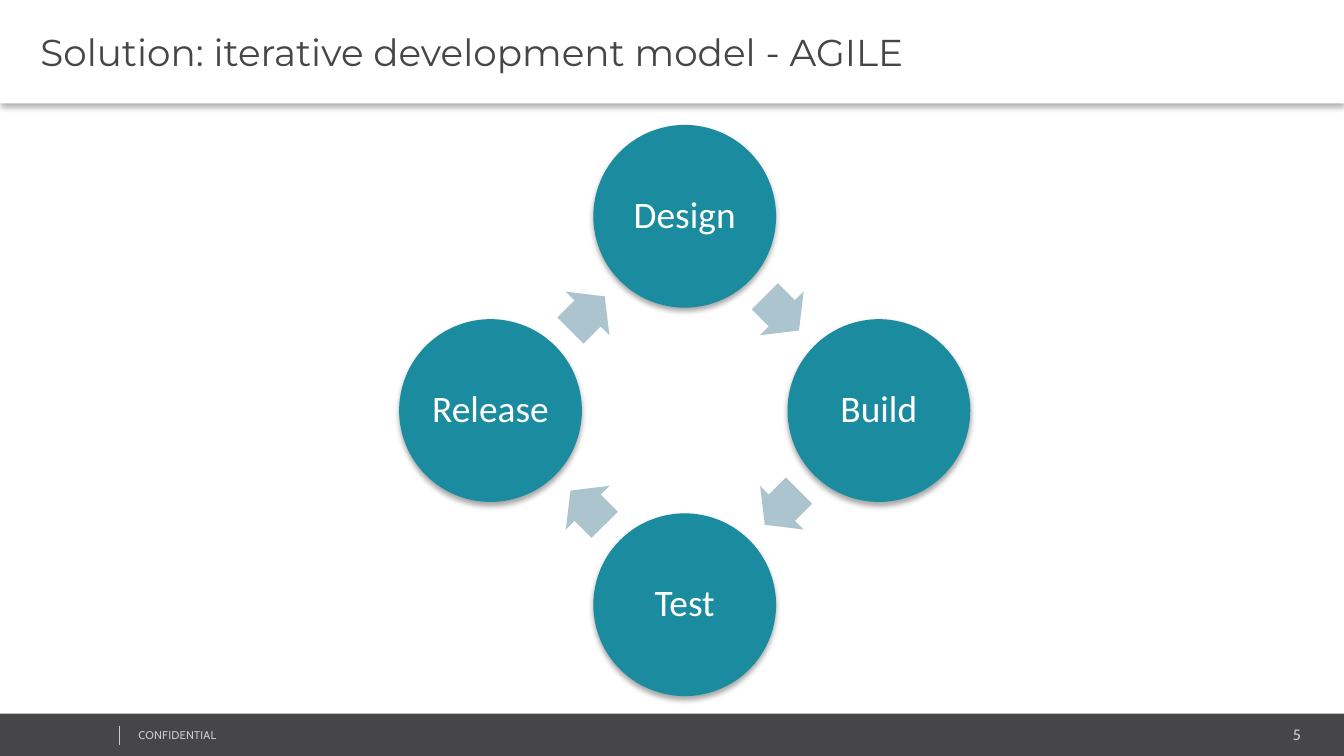
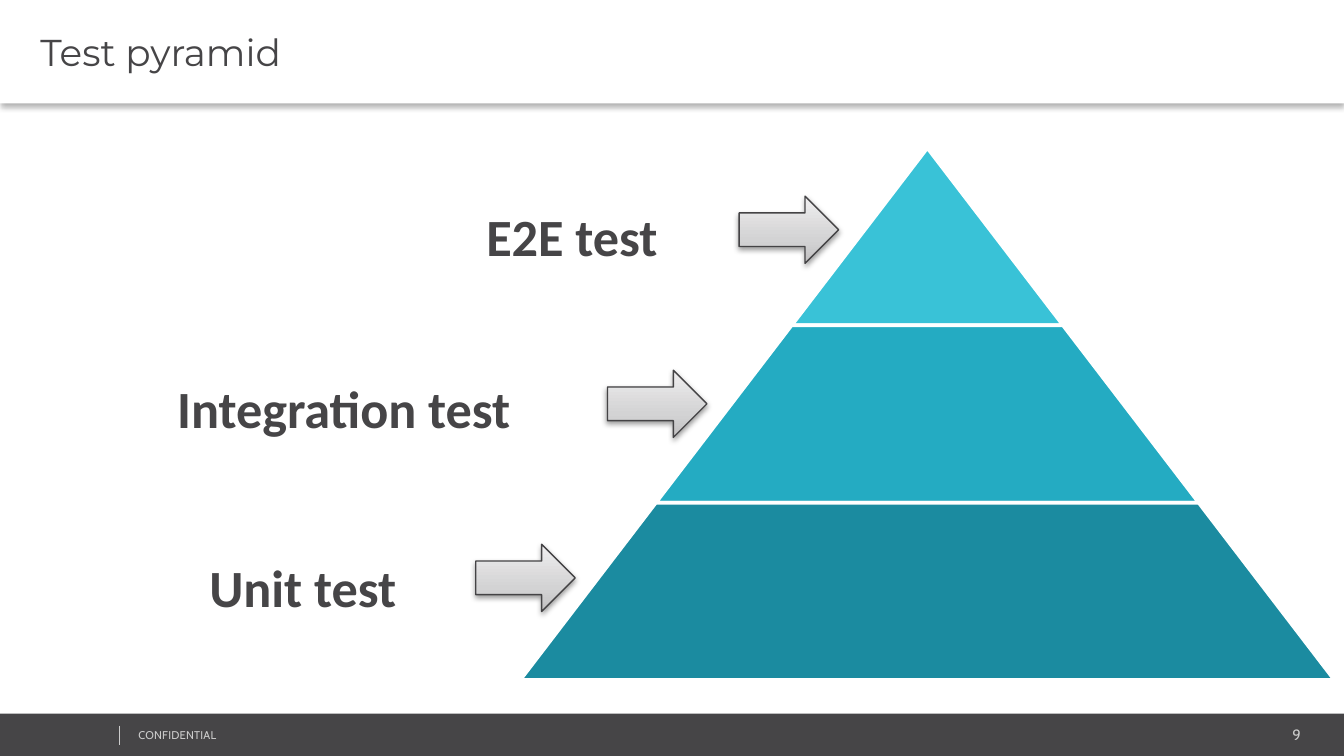
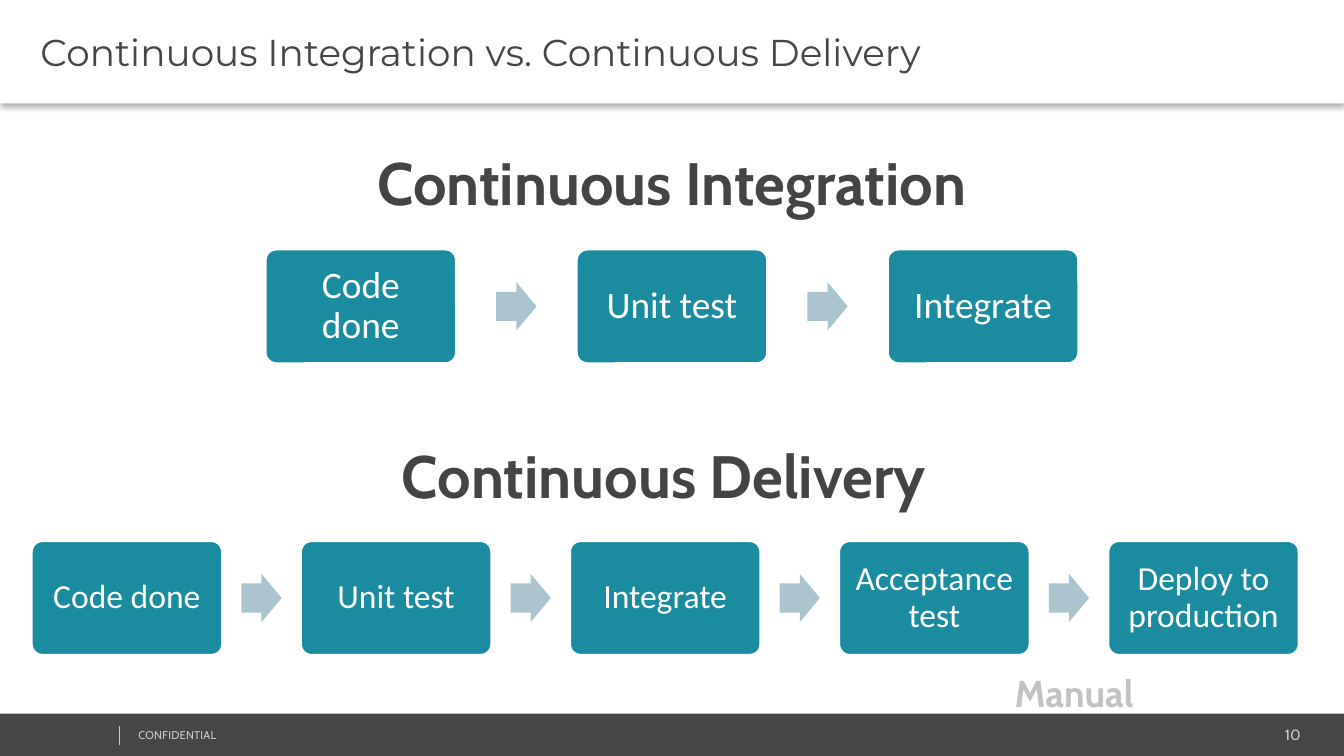
from dataclasses import dataclass, field
from math import cos, pi, sin

from lxml.etree import SubElement
from pptx import Presentation
from pptx.dml.color import RGBColor
from pptx.enum.shapes import MSO_CONNECTOR, MSO_SHAPE
from pptx.enum.text import MSO_ANCHOR, MSO_AUTO_SIZE, PP_ALIGN
from pptx.oxml.ns import qn
from pptx.util import Inches, Pt

SLIDE_WIDTH, SLIDE_HEIGHT = Inches(10), Inches(5.625)
COLUMNS, ROWS = 100, 56.25


@dataclass(frozen=True)
class TextStyle:
    """The font, colour and line spacing of one kind of text."""
    name: str
    size: float
    color: str
    bold: bool = False
    line_spacing: float = 1.0
    alignment: PP_ALIGN = PP_ALIGN.LEFT
    tracking: float = 0


@dataclass(frozen=True)
class Theme:
    """Colours and type sizes shared by the slides."""
    white: str = "FFFFFF"
    dark: str = "464547"
    outline: str = "444345"
    pale: str = "CCCCCC"
    teal: str = "1B8BA0"
    flow_arrow: str = "ACC4CD"
    pyramid: tuple = ("39C2D7", "24ABC2", "1B8BA0")
    gradient: tuple = ((0, "C1C0C1"), (35, "D3D3D4"), (100, "EFEEEF"))
    title: TextStyle = TextStyle("Montserrat", 20, "464547")
    number: TextStyle = TextStyle("Cabin", 8, "CCCCCC", alignment=PP_ALIGN.RIGHT)
    notice: TextStyle = TextStyle("Cabin", 6, "CCCCCC", tracking=0.1)
    step: TextStyle = TextStyle("Calibri", 20, "FFFFFF", False, 0.9, PP_ALIGN.CENTER)
    small_step: TextStyle = TextStyle("Calibri", 18, "FFFFFF", False, 0.9, PP_ALIGN.CENTER)
    label: TextStyle = TextStyle("Calibri", 28, "464547", True, 1.2)
    heading: TextStyle = TextStyle("Cabin", 32, "444444", True, 1.2, PP_ALIGN.CENTER)
    remark: TextStyle = TextStyle("Cabin", 20, "C2C2C2", True, 1.2)
    insets: dict = field(default_factory=lambda: {
        "title": (0.3, 0.04, 0.07, 0.04), "footer": (0.07, 0.04, 0.07, 0.04),
        "text": (0.1, 0.05, 0.1, 0.05)})


THEME = Theme()


@dataclass(frozen=True)
class Box:
    """A rectangle measured in grid columns and rows."""
    left: float
    top: float
    width: float
    height: float

    def at(self, left, top, width, height):
        """Return a box offset from this one's corner."""
        return Box(self.left + left, self.top + top, width, height)

    def centred(self, x, y, width, height):
        """Return a box centred on a point given in shares of this one."""
        return self.at(x * self.width - width / 2, y * self.height - height / 2, width, height)

    def lengths(self):
        """Return left, top, width and height as slide lengths."""
        column, row = SLIDE_WIDTH / COLUMNS, SLIDE_HEIGHT / ROWS
        return (round(self.left * column), round(self.top * row),
                round(self.width * column), round(self.height * row))


def apply(target, values):
    """Set each named attribute on the target."""
    for name, value in values.items():
        setattr(target, name, value)


def paint(shape, fill=None, line=None, line_width=0.75, shadow=None):
    """Set a shape's fill, outline and shadow (opacity, blur, distance)."""
    if fill:
        shape.fill.solid()
        shape.fill.fore_color.rgb = RGBColor.from_string(fill)
    if line:
        shape.line.color.rgb = RGBColor.from_string(line)
        shape.line.width = Pt(line_width)
    else:
        shape.line.fill.background()
    shape.shadow.inherit = False
    if shadow:
        opacity, blur, distance = shadow
        effects = shape._element.spPr.find(qn("a:effectLst"))
        outer = SubElement(effects, qn("a:outerShdw"), blurRad=str(Pt(blur)),
                           dist=str(Pt(distance)), dir="5400000", rotWithShape="0")
        color = SubElement(outer, qn("a:srgbClr"), val="000000")
        SubElement(color, qn("a:alpha"), val=str(opacity * 1000))


def paint_gradient(shape, stops):
    """Fill a shape with a gradient that rises from bottom to top."""
    shape.fill.gradient()
    shape.fill.gradient_angle = 90
    stop_list = shape._element.spPr.find(".//" + qn("a:gsLst"))
    stop_list.clear()
    for position, color in stops:
        stop = SubElement(stop_list, qn("a:gs"), pos=str(position * 1000))
        SubElement(stop, qn("a:srgbClr"), val=color)


def write(shape, text, style, insets, **frame_values):
    """Put styled text into a shape."""
    frame = shape.text_frame
    sides = ("left", "top", "right", "bottom")
    apply(frame, {f"margin_{side}": Inches(inset) for side, inset in zip(sides, insets)})
    apply(frame, {"word_wrap": True, "auto_size": MSO_AUTO_SIZE.NONE,
                  "vertical_anchor": MSO_ANCHOR.MIDDLE, **frame_values})
    paragraph = frame.paragraphs[0]
    apply(paragraph, {"alignment": style.alignment, "line_spacing": style.line_spacing})
    run = paragraph.add_run()
    run.text = text
    apply(run.font, {"name": style.name, "size": Pt(style.size), "bold": style.bold})
    run.font.color.rgb = RGBColor.from_string(style.color)
    if style.tracking:
        run.font._element.set("spc", str(round(style.tracking * 100)))


def add_preset(shapes, kind, box, adjustments=(), rotation=0, **paint_values):
    """Add a painted preset shape."""
    shape = shapes.add_shape(kind, *box.lengths())
    for index, value in enumerate(adjustments):
        shape.adjustments[index] = value
    shape.rotation = rotation
    paint(shape, **paint_values)
    return shape


def add_text(slide, box, text, style, insets="text", word_wrap=True):
    """Add a text box that grows with its text."""
    shape = slide.shapes.add_textbox(*box.lengths())
    write(shape, text, style, THEME.insets[insets], word_wrap=word_wrap,
          auto_size=MSO_AUTO_SIZE.SHAPE_TO_FIT_TEXT, vertical_anchor=MSO_ANCHOR.TOP)


def add_flow_arrow(shapes, box, rotation=0):
    """Add a pale arrow leading to the next step."""
    add_preset(shapes, MSO_SHAPE.RIGHT_ARROW, box, (0.6, 0.5), rotation,
               fill=THEME.flow_arrow)


def add_title(slide, box, text):
    """Place the title band with its soft lower shadow."""
    title = slide.shapes.title
    apply(title, dict(zip(("left", "top", "width", "height"), box.lengths())))
    paint(title, fill=THEME.white, shadow=(30, 3.1, 2))
    write(title, text, THEME.title, THEME.insets["title"])


def add_footer(slide, box, number):
    """Draw the footer band, rule, notice and slide number."""
    add_preset(slide.shapes, MSO_SHAPE.RECTANGLE, box, fill=THEME.dark)
    add_text(slide, box.at(81.2, 0.5, 16.3, 2.1), str(number), THEME.number, "footer")
    add_text(slide, box.at(9.6, 0.7, 25.3, 1.8), "CONFIDENTIAL", THEME.notice, "footer")
    left, top, _, height = box.at(8.9, 0.9, 0, 1.4).lengths()
    rule = slide.shapes.add_connector(MSO_CONNECTOR.STRAIGHT, left, top, left, top + height)
    rule.line.color.rgb = RGBColor.from_string(THEME.pale)
    rule.line.width = Pt(0.25)
    SubElement(rule._element.spPr, qn("a:effectLst"))


def add_slide(presentation, title, number):
    """Add a slide with the shared title and footer."""
    slide = presentation.slides.add_slide(presentation.slide_layouts[5])
    add_title(slide, Box(0, 0, COLUMNS, 7.7), title)
    add_footer(slide, Box(0, 53.1, COLUMNS, ROWS - 53.1), number)
    return slide


def add_cycle(slide, box, steps):
    """Draw circles clockwise from the top with arrows between them."""
    shapes = slide.shapes.add_group_shape().shapes
    diameter = 0.32 * box.width
    radius = (1 - 0.32) / 2
    turn = 2 * pi / len(steps)
    for index, step in enumerate(steps):
        angle = index * turn
        circle = add_preset(
            shapes, MSO_SHAPE.OVAL,
            box.centred(0.5 + radius * sin(angle), 0.5 - radius * cos(angle),
                        diameter, diameter),
            fill=THEME.teal, shadow=(35, 3.1, 1.8))
        write(circle, step, THEME.step, (0.03,) * 4)
        middle, reach = angle + turn / 2, radius * cos(turn / 2)
        add_flow_arrow(
            shapes,
            box.centred(0.5 + reach * sin(middle), 0.5 - reach * cos(middle), 3.6, 4.6),
            middle * 180 / pi)


def add_pyramid(slide, box, colors):
    """Stack trapezoids that widen evenly towards the base."""
    shapes = slide.shapes.add_group_shape().shapes
    count = len(colors)
    height = box.height / count
    slope = box.width / 2 / box.height
    for index, color in enumerate(colors):
        level = box.centred(0.5, (index + 0.5) / count, box.width * (index + 1) / count, height)
        add_preset(shapes, MSO_SHAPE.TRAPEZOID, level, (slope,),
                   fill=color, line=THEME.white, line_width=2)


def add_pointers(slide, box, count):
    """Place grey arrows in equal steps down the pyramid's left edge."""
    for index in range(count):
        pointer = add_preset(
            slide.shapes, MSO_SHAPE.RIGHT_ARROW,
            box.at(19.6 - 9.8 * index, 12.95 * index, 7.4, 5),
            line=THEME.outline, shadow=(38, 3.1, 1.6))
        paint_gradient(pointer, THEME.gradient)


def add_process(slide, box, steps, style, inset):
    """Spread step boxes evenly across a row with arrows in the gaps."""
    shapes = slide.shapes.add_group_shape().shapes
    width = 14.3
    pitch = (box.width - width) / (len(steps) - 1)
    for index, step in enumerate(steps):
        left = index * pitch
        if index:
            gap = box.at(left - pitch + width, 0, pitch - width, box.height)
            add_flow_arrow(shapes, gap.centred(0.5, 0.5, 3, 3.6))
        card = add_preset(shapes, MSO_SHAPE.ROUNDED_RECTANGLE,
                          box.at(left, 0, width, box.height), (0.1,),
                          fill=THEME.teal, line=THEME.white, line_width=2)
        write(card, step, style, (inset,) * 4)


def build_cycle_slide(presentation):
    """Build the iterative development slide."""
    slide = add_slide(presentation, "Solution: iterative development model - AGILE", 5)
    add_cycle(slide, Box(29.7, 9.3, 42.5, 42.5), ("Design", "Build", "Test", "Release"))


def build_pyramid_slide(presentation):
    """Build the test pyramid slide."""
    slide = add_slide(presentation, "Test pyramid", 9)
    add_pyramid(slide, Box(38.7, 11, 60.6, 39.6), THEME.pyramid)
    labels = {"E2E test": Box(35.2, 13.8, 17, 6.7),
              "Integration test": Box(12.2, 26.6, 30.4, 6.7),
              "Unit test": Box(14.6, 39.9, 18, 6.2)}
    for text, box in labels.items():
        add_text(slide, box, text, THEME.label, word_wrap=False)
    add_pointers(slide, Box(35.4, 14.6, 27, 30.9), len(labels))


def build_delivery_slide(presentation):
    """Build the integration and delivery comparison slide."""
    slide = add_slide(presentation, "Continuous Integration vs. Continuous Delivery", 10)
    integration = ("Code done", "Unit test", "Integrate")
    delivery = integration + ("Acceptance test", "Deploy to production")
    add_process(slide, Box(19.7, 18.5, 60.6, 8.6), integration, THEME.step, 0.09)
    add_process(slide, Box(2.3, 40.2, 94.4, 8.6), delivery, THEME.small_step, 0.07)
    add_text(slide, Box(12.9, 9.3, 74.2, 7.5), "Continuous Integration", THEME.heading)
    add_text(slide, Box(12.3, 31.1, 74.2, 6.9), "Continuous Delivery", THEME.heading)
    add_text(slide, Box(74.5, 48.7, 11.2, 5), "Manual", THEME.remark, word_wrap=False)


def main():
    """Build and save the presentation."""
    presentation = Presentation()
    apply(presentation, {"slide_width": SLIDE_WIDTH, "slide_height": SLIDE_HEIGHT})
    for build in (build_cycle_slide, build_pyramid_slide, build_delivery_slide):
        build(presentation)
    presentation.save("out.pptx")


if __name__ == "__main__":
    main()
